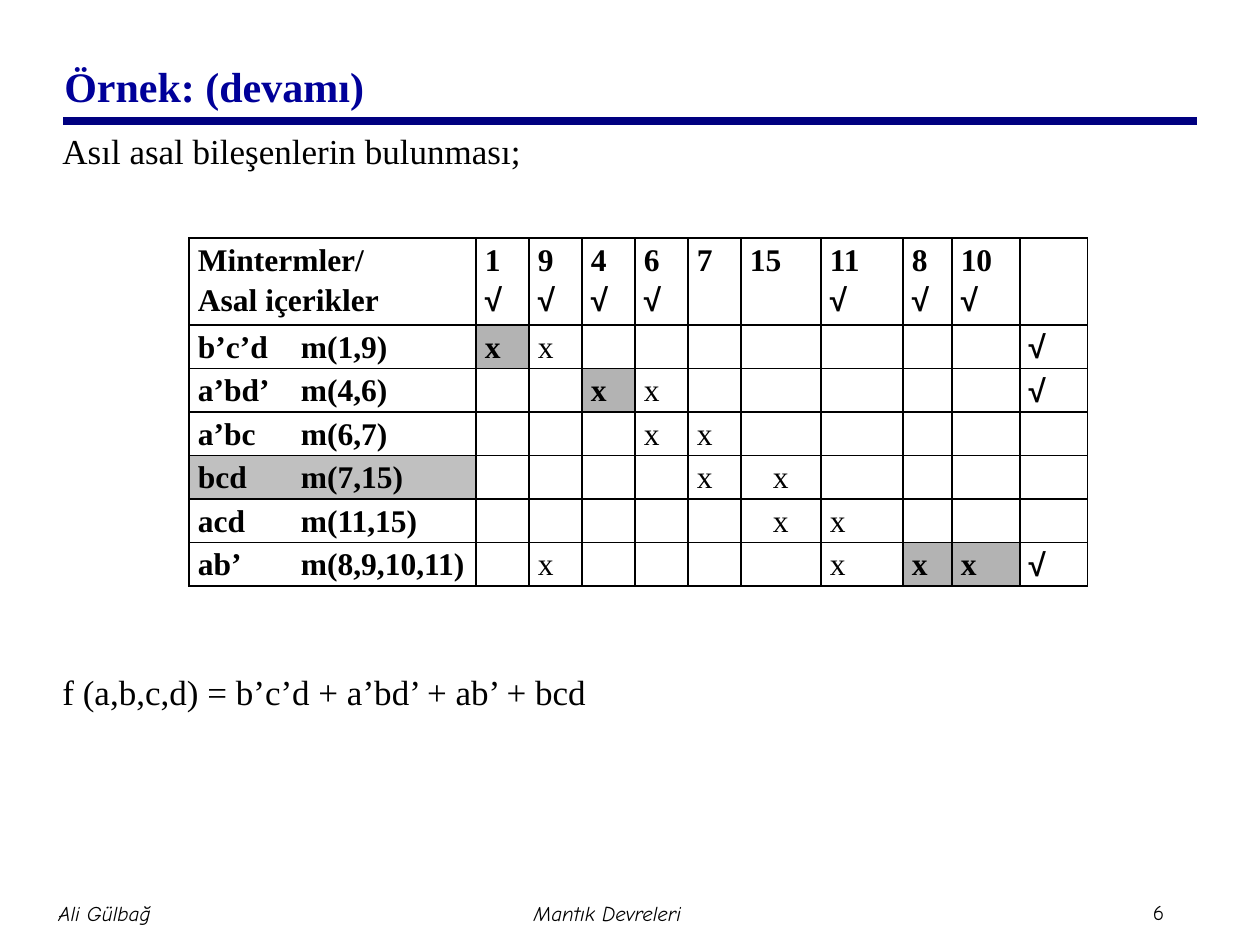
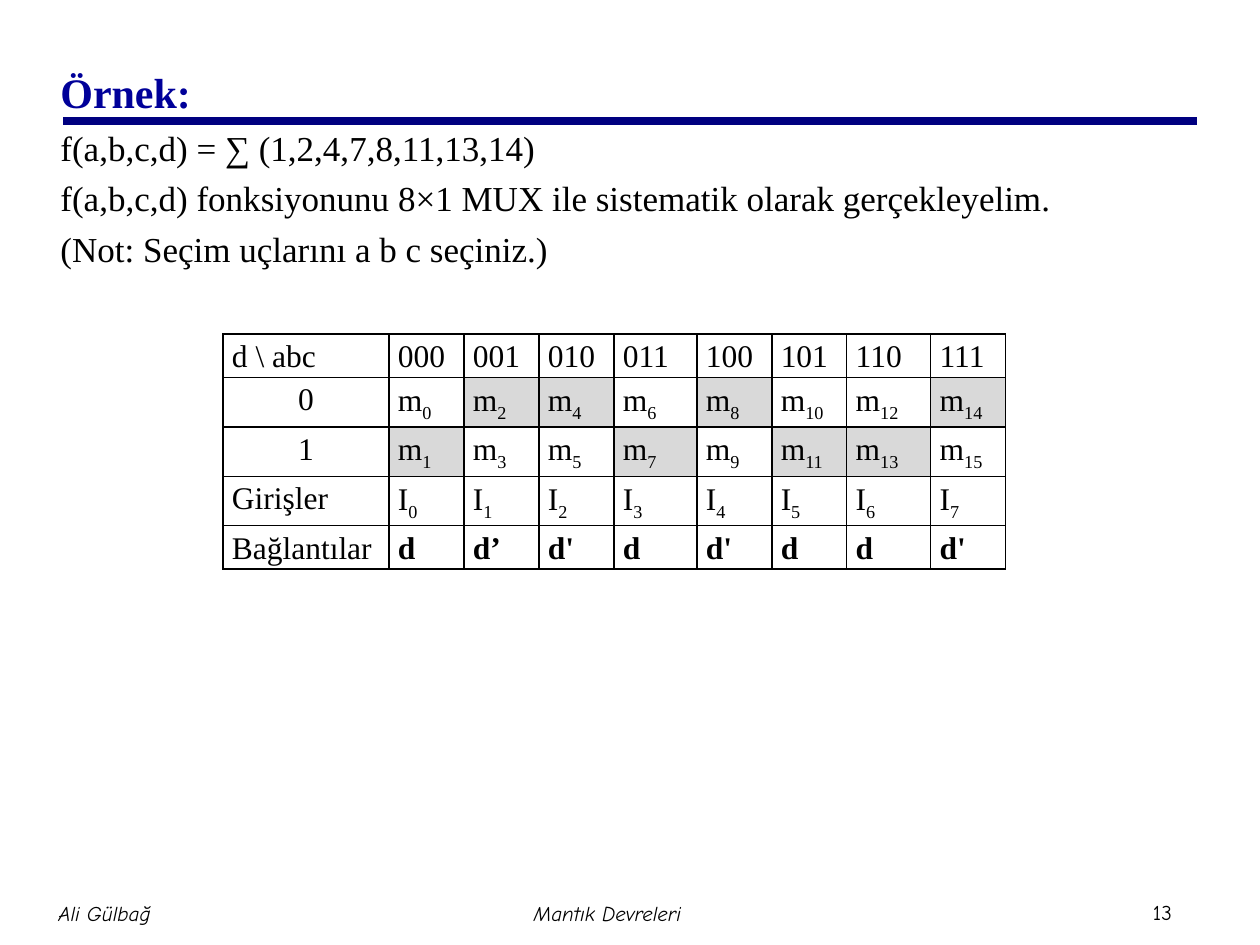
import pptx
import pptx.util
import pptx.dml.color
import pptx.enum.shapes
import pptx.enum.text
import pptx.oxml.ns
import lxml.etree

COLORS = {
    "ink": "000000", "title": "000099", "rule": "000080",
    "prime": "B3B3B3", "chosen": "C0C0C0", "minterm": "D9D9D9",
}
SERIF, SANS, FOOTER = "Times New Roman", "Arial", "Comic Neue"
ALIGN = pptx.enum.text.PP_ALIGN
EMU_PER_PIXEL = 914400 / 126


def px(pixels):
    return pptx.util.Emu(round(pixels * EMU_PER_PIXEL))


def color(name):
    return pptx.dml.color.RGBColor.from_string(COLORS[name])


def add_xml(parent, tag, **attributes):
    child = lxml.etree.SubElement(parent, pptx.oxml.ns.qn(tag))
    for name, value in attributes.items():
        child.set(name, str(value))
    return child


class Lecture:
    def __init__(self):
        self.deck = pptx.Presentation()
        self.deck.slide_width, self.deck.slide_height = px(1260), px(945)
        self.page = None

    def start_page(self, title, left, top, number):
        self.page = self.deck.slides.add_slide(self.deck.slide_layouts[6])
        self.rule(63, 121, 1197)
        self.footer(str(number), 1147, 893, 59, 38, ALIGN.LEFT, False)
        self.footer("Ali Gülbağ", 0, 882, 209, 63, ALIGN.CENTER, True)
        self.footer("Mantık Devreleri", 382, 882, 451, 63, ALIGN.CENTER, True)
        frame = self.text_frame(left, top, 1071, 108)
        frame.vertical_anchor = pptx.enum.text.MSO_ANCHOR.MIDDLE
        self.put_text(frame.paragraphs[0], title, 24, "title", bold=True)

    def rule(self, left, top, right):
        line = self.page.shapes.add_connector(
            pptx.enum.shapes.MSO_CONNECTOR.STRAIGHT, px(left), px(top), px(right), px(top))
        line.line.color.rgb = color("rule")
        line.line.width = pptx.util.Pt(4.5)
        add_xml(line._element.spPr, "a:effectLst")

    def text_frame(self, left, top, width, height):
        box = self.page.shapes.add_textbox(px(left), px(top), px(width), px(height))
        box.text_frame.word_wrap = True
        return box.text_frame

    def put_text(self, para, text, size, ink="ink", face=SERIF, bold=False, italic=False):
        base, _, subscript = text.partition("_")
        para.add_run().text = base
        if subscript:
            span = para.add_run()
            span.text = subscript
            span._r.get_or_add_rPr().set("baseline", "-25000")
        font = para.font
        font.name, font.size = face, pptx.util.Pt(size)
        font.bold, font.italic = bold, italic
        font.color.rgb = color(ink)

    def footer(self, text, left, top, width, height, align, italic):
        frame = self.text_frame(left, top, width, height)
        frame.margin_left = frame.margin_right = px(6)
        frame.margin_top = frame.margin_bottom = px(6)
        frame.vertical_anchor = pptx.enum.text.MSO_ANCHOR.MIDDLE
        frame.paragraphs[0].alignment = align
        self.put_text(frame.paragraphs[0], text, 12, face=FOOTER, italic=italic)

    def body(self, left, top, lines):
        frame = self.text_frame(left, top, 1154, 699)
        for index, (text, gap) in enumerate(lines):
            para = frame.add_paragraph() if index else frame.paragraphs[0]
            para.space_before = pptx.util.Pt(gap)
            self.put_text(para, text, 20)

    def table(self, left, top, widths, heights, rows, shades, is_bold, align, tab=None):
        table = self.page.shapes.add_table(
            len(rows), len(widths), px(left), px(top), px(sum(widths)), px(sum(heights))).table
        table.first_row = table.horz_banding = False
        for column, width in zip(table.columns, widths):
            column.width = px(width)
        for r, (height, texts) in enumerate(zip(heights, rows)):
            table.rows[r].height = px(height)
            for c, text in enumerate(texts):
                self.cell(table.cell(r, c), text, shades.get((r, c)),
                          is_bold(r, c), align(r, c), tab)

    def cell(self, cell, text, shade, bold, align, tab):
        cell.margin_left = cell.margin_right = px(9)
        cell.margin_top = cell.margin_bottom = 0
        for index, line in enumerate(text.split("\n")):
            para = cell.text_frame.add_paragraph() if index else cell.text_frame.paragraphs[0]
            para.alignment = align
            para.line_spacing = 1.15
            if "\t" in line:
                stops = add_xml(para._p.get_or_add_pPr(), "a:tabLst")
                add_xml(stops, "a:tab", pos=px(tab), algn="l")
            if line:
                check = line == "√"
                self.put_text(para, line, 18, face=SANS if check else SERIF, bold=bold or check)
        properties = cell._tc.get_or_add_tcPr()
        for side in ("a:lnL", "a:lnR", "a:lnT", "a:lnB"):
            border = add_xml(properties, side, w=12700)
            add_xml(add_xml(border, "a:solidFill"), "a:srgbClr", val=COLORS["ink"])
        if shade:
            cell.fill.solid()
            cell.fill.fore_color.rgb = color(shade)
        else:
            cell.fill.background()


lecture = Lecture()

lecture.start_page("Örnek: (devamı)", 52, 32, 6)
lecture.body(50, 123, [
    ("Asıl asal bileşenlerin bulunması;", 5),
    ("f (a,b,c,d) = b’c’d + a’bd’ + ab’ + bcd", 285),
])
minterms = ["1", "9", "4", "6", "7", "15", "11", "8", "10"]
covered = {"1", "9", "4", "6", "11", "8", "10"}
implicants = [
    ("b’c’d", ["1", "9"], True),
    ("a’bd’", ["4", "6"], True),
    ("a’bc", ["6", "7"], False),
    ("bcd", ["7", "15"], False),
    ("acd", ["11", "15"], False),
    ("ab’", ["8", "9", "10", "11"], True),
]
heading = ["Mintermler/\nAsal içerikler"]
heading += [m + "\n√" if m in covered else m for m in minterms] + [""]
chart = [heading] + [
    [f"{term}\tm({','.join(covers)})"]
    + ["x" if m in covers else "" for m in minterms]
    + ["√" if essential else ""]
    for term, covers, essential in implicants
]
prime_shades = dict.fromkeys([(1, 1), (2, 3), (6, 8), (6, 9)], "prime")
prime_shades[4, 0] = "chosen"
lecture.table(
    189, 238, [287] + [53] * 5 + [80, 82, 49, 68, 68], [80] + [40] * 6, chart, prime_shades,
    is_bold=lambda r, c: r == 0 or c == 0 or (r, c) in prime_shades,
    align=lambda r, c: ALIGN.CENTER if r and c == 6 else ALIGN.LEFT,
    tab=103)

lecture.start_page("Örnek:", 48, 38, 13)
lecture.body(48, 120, [
    ("f(a,b,c,d) = ∑ (1,2,4,7,8,11,13,14)", 5),
    ("f(a,b,c,d) fonksiyonunu 8×1 MUX ile sistematik olarak gerçekleyelim.", 5),
    ("(Not: Seçim uçlarını a b c seçiniz.)", 5),
])
function_minterms = [1, 2, 4, 7, 8, 11, 13, 14]
mux = [
    ["d \\ abc"] + [f"{i:03b}" for i in range(8)],
    ["0"] + [f"m_{2 * i}" for i in range(8)],
    ["1"] + [f"m_{2 * i + 1}" for i in range(8)],
    ["Girişler"] + [f"I_{i}" for i in range(8)],
    ["Bağlantılar", "d", "d’", "d'", "d", "d'", "d", "d", "d'"],
]


def mux_align(r, c):
    if c == 0 and r in (1, 2):
        return ALIGN.CENTER
    return ALIGN.JUSTIFY if r == 0 or c < 2 else ALIGN.LEFT


lecture.table(
    223, 334, [166, 75, 75, 75, 83, 75, 75, 84, 75], [40, 46, 46, 46, 40], mux,
    {(1 + m % 2, 1 + m // 2): "minterm" for m in function_minterms},
    is_bold=lambda r, c: r == 4 and c > 0, align=mux_align)

lecture.deck.save("out.pptx")
